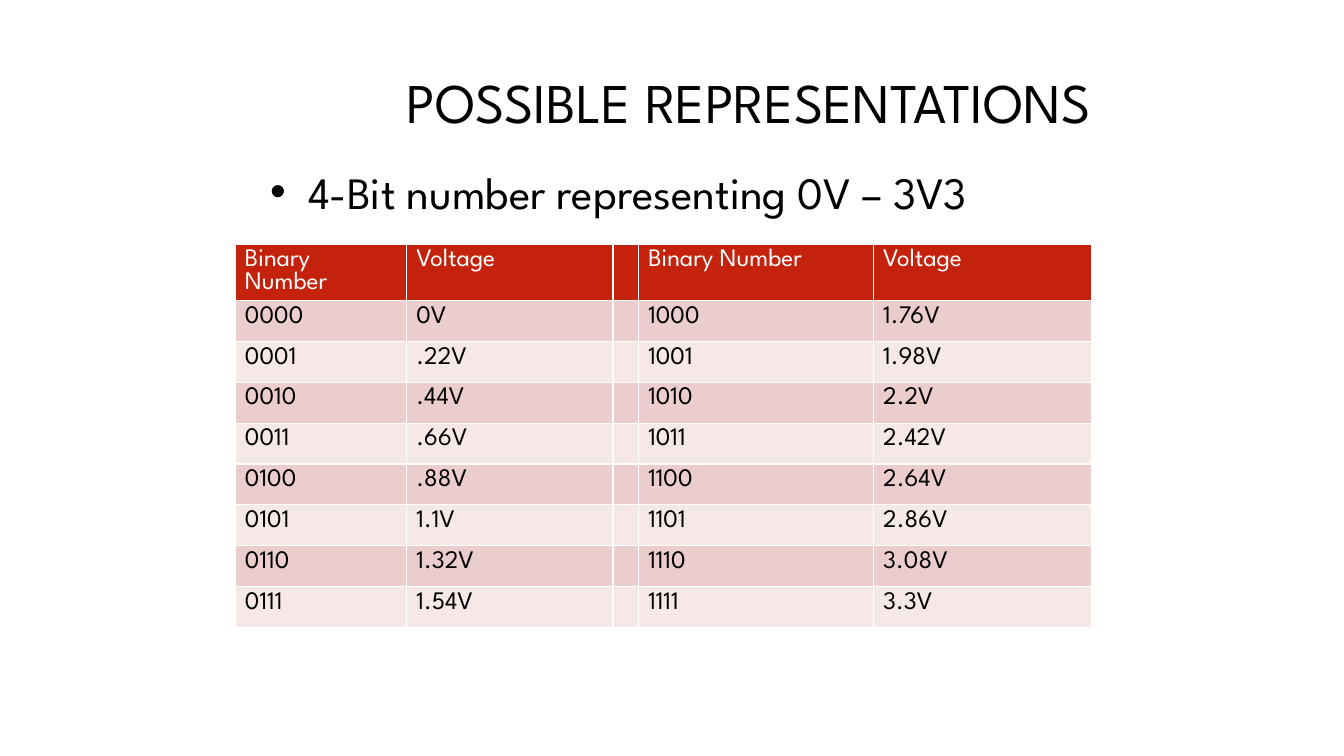
from pptx import Presentation
from pptx import util as u
from pptx.dml import color
from pptx.enum import text

FONT = "League Spartan"
BLACK, WHITE, RED = "000000", "FFFFFF", "C4220D"
BANDS = ["EACDCC", "F5E8E7"]


def place(shape, *box):
    shape.left, shape.top, shape.width, shape.height = map(u.Inches, box)


def write(para, words, size, hue):
    run = para.add_run()
    run.text = words
    run.font.name = FONT
    run.font.size = u.Pt(size)
    run.font.bold = False
    run.font.color.rgb = color.RGBColor.from_string(hue)


deck = Presentation()
deck.slide_width = u.Inches(13.33)
deck.slide_height = u.Inches(7.5)
slide = deck.slides.add_slide(deck.slide_layouts[1])

title = slide.shapes.title
place(title, 2.42, 0.42, 8.5, 1.25)
title.text_frame.auto_size = text.MSO_AUTO_SIZE.NONE
title.text_frame.vertical_anchor = text.MSO_ANCHOR.MIDDLE
head = title.text_frame.paragraphs[0]
head.alignment = text.PP_ALIGN.RIGHT
head.line_spacing = 0.9
write(head, "POSSIBLE REPRESENTATIONS", 40, BLACK)

body = slide.placeholders[1]
place(body, 2.58, 1.58, 8.5, 0.58)
body.text_frame.auto_size = text.MSO_AUTO_SIZE.NONE
write(body.text_frame.paragraphs[0], "4-Bit number representing 0V – 3V3", 32, BLACK)

low = ["0V", ".22V", ".44V", ".66V", ".88V", "1.1V", "1.32V", "1.54V"]
high = ["1.76V", "1.98V", "2.2V", "2.42V", "2.64V", "2.86V", "3.08V", "3.3V"]
rows = [["Binary Number", "Voltage", "", "Binary Number", "Voltage"]]
for num, (left, right) in enumerate(zip(low, high)):
    rows.append([f"{num:04b}", left, "", f"{num + 8:04b}", right])

frame = slide.shapes.add_table(
    len(rows), 5, u.Inches(2.33), u.Inches(2.42), u.Inches(8.5), u.Inches(3.65))
table = frame.table
for col, width in zip(table.columns, [1.7, 2.05, 0.25, 2.33, 2.17]):
    col.width = u.Inches(width)

for r, row in enumerate(rows):
    fill = BANDS[(r - 1) % 2] if r else RED
    for c, words in enumerate(row):
        cell = table.cell(r, c)
        cell.fill.solid()
        cell.fill.fore_color.rgb = color.RGBColor.from_string(fill)
        if words:
            write(cell.text_frame.paragraphs[0], words, 18, BLACK if r else WHITE)

deck.save("out.pptx")
